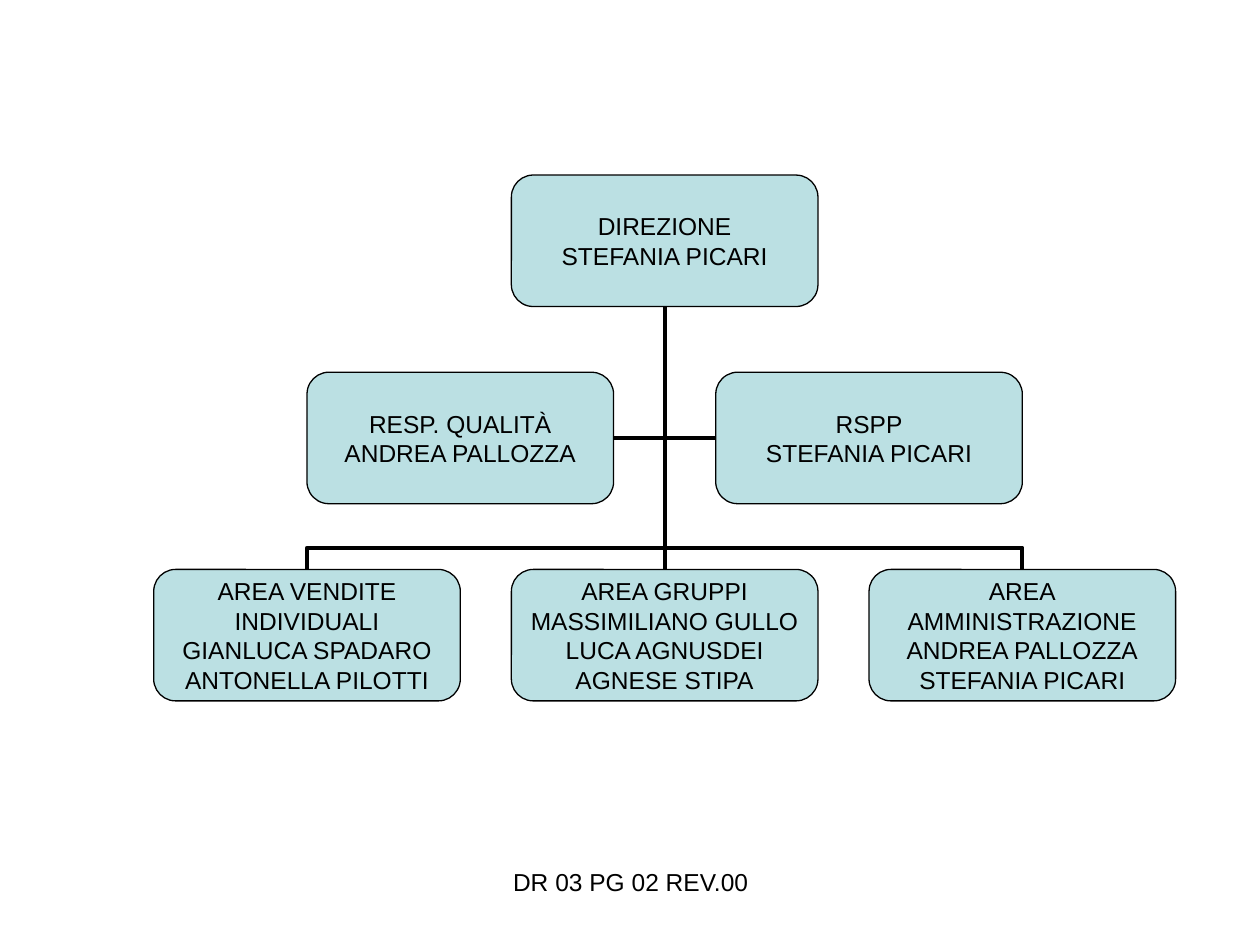
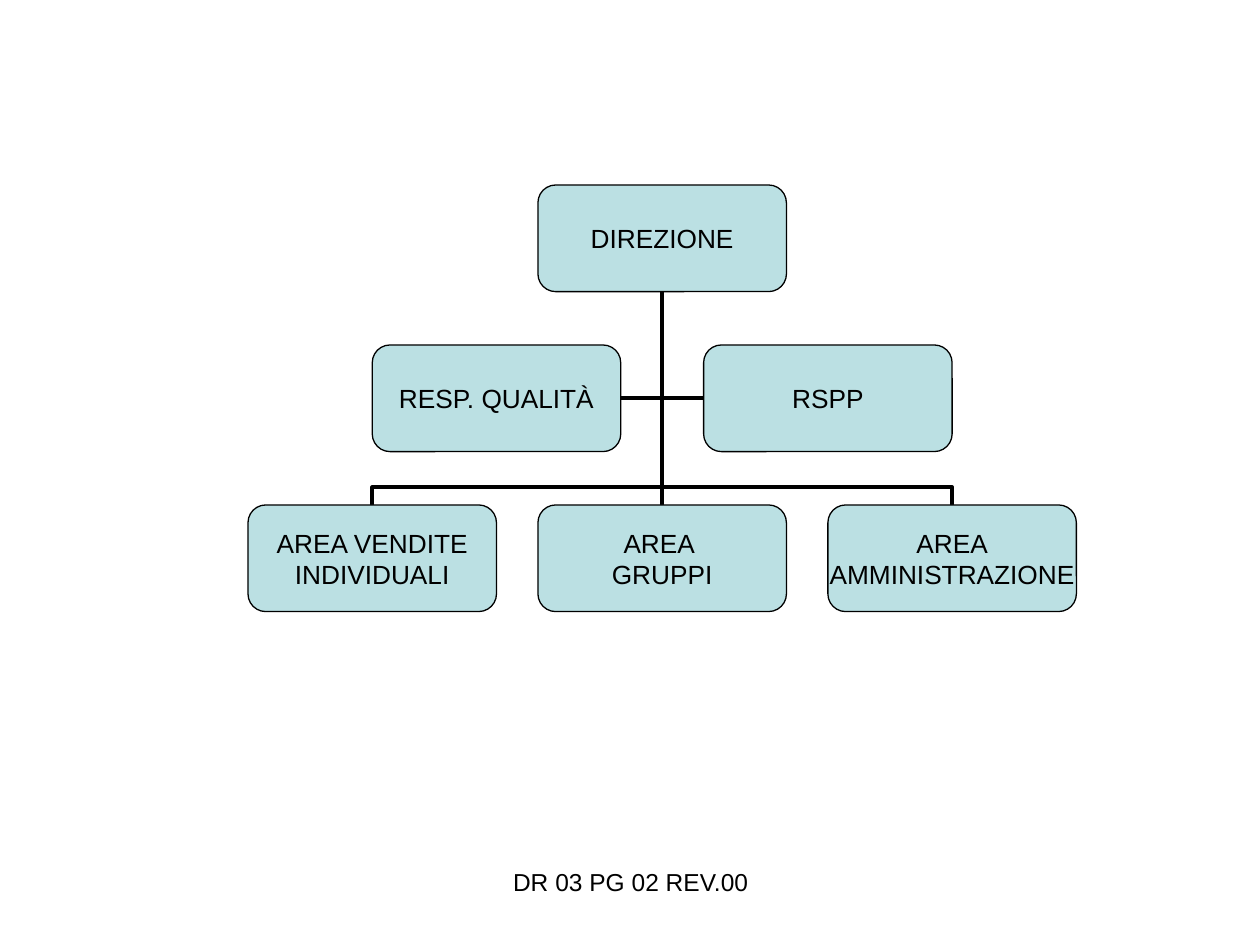
from dataclasses import dataclass

from lxml.etree import SubElement
from pptx import Presentation
from pptx.dml.color import RGBColor
from pptx.enum.shapes import MSO_CONNECTOR as Link, MSO_SHAPE as Shape
from pptx.enum.text import MSO_ANCHOR as Anchor, PP_ALIGN as Align
from pptx.oxml.ns import qn
from pptx.util import Cm, Pt

# Shared style
FONT = "Arial"
BLACK = "000000"
BOX_FILL = "BBE0E3"
FOOTER = "DR 03 PG 02 REV.00"
FOOTER_SIZE = 14
QUARTER_TURN_LEFT = 270 * 60000


@dataclass(frozen=True)
class Chart:
    """An organisation chart; lengths in centimetres, one text per box."""
    centre: float
    top: float
    width: float
    height: float
    text_size: int
    head: str
    staff: tuple[str, ...]
    areas: tuple[str, ...]

    def row_top(self, row: int) -> float:
        return self.top + row * 1.5 * self.height

    def staff_centres(self) -> list[float]:
        return [self.centre + side * self.width * 2 / 3 for side in (-1, 1)]

    def area_centres(self) -> list[float]:
        return [self.centre + column * self.width * 7 / 6 for column in (-1, 0, 1)]


CHARTS = (
    Chart(13.4, 3.53, 6.18, 2.65, 14,
          "DIREZIONE\nSTEFANIA PICARI",
          ("RESP. QUALITÀ\nANDREA PALLOZZA", "RSPP\nSTEFANIA PICARI"),
          ("AREA VENDITE\nINDIVIDUALI\nGIANLUCA SPADARO\nANTONELLA PILOTTI",
           "AREA GRUPPI\nMASSIMILIANO GULLO\nLUCA AGNUSDEI\nAGNESE STIPA",
           "AREA\nAMMINISTRAZIONE\nANDREA PALLOZZA\nSTEFANIA PICARI")),
    Chart(13.35, 3.73, 5.01, 2.15, 15,
          "DIREZIONE",
          ("RESP. QUALITÀ", "RSPP"),
          ("AREA VENDITE\nINDIVIDUALI", "AREA \nGRUPPI", "AREA\nAMMINISTRAZIONE")),
)


def colour(value: str) -> RGBColor:
    return RGBColor.from_string(value)


def write(frame, text: str, size: int) -> None:
    frame.text = text
    for para in frame.paragraphs:
        para.alignment = Align.CENTER
        for span in para.runs:
            span.font.name = FONT
            span.font.size = Pt(size)
            span.font.color.rgb = colour(BLACK)


def add_box(page, chart: Chart, centre: float, row: int, text: str) -> None:
    box = page.shapes.add_shape(
        Shape.ROUNDED_RECTANGLE, Cm(centre - chart.width / 2),
        Cm(chart.row_top(row)), Cm(chart.width), Cm(chart.height))
    box.shadow.inherit = False
    box.fill.solid()
    box.fill.fore_color.rgb = colour(BOX_FILL)
    box.line.color.rgb = colour(BLACK)
    box.line.width = Pt(0.75)
    frame = box.text_frame
    frame.margin_left = frame.margin_right = 0
    frame.margin_top = frame.margin_bottom = 0
    frame.word_wrap = False
    frame.vertical_anchor = Anchor.MIDDLE
    write(frame, text, chart.text_size)


def add_link(page, kind: Link, x1: float, y1: float, x2: float, y2: float):
    link = page.shapes.add_connector(kind, Cm(x1), Cm(y1), Cm(x2), Cm(y2))
    link.line.color.rgb = colour(BLACK)
    link.line.width = Pt(2.25)
    properties = link._element.spPr
    SubElement(properties, qn("a:effectLst"))
    return properties


def link_staff(page, x1: float, y1: float, x2: float, y2: float) -> None:
    """Go sideways, then up, with a single bend."""
    properties = add_link(page, Link.ELBOW, x1, y1, x2, y2)
    properties.find(qn("a:prstGeom")).set("prst", "bentConnector2")


def link_area(page, x1: float, y1: float, x2: float, y2: float) -> None:
    """Go up a twelfth of the rise, then sideways, then up again."""
    middle_x, middle_y = (x1 + x2) / 2, (y1 + y2) / 2
    rise, run = y1 - y2, x2 - x1
    # The elbow is laid out lying down, then turned a quarter to the left
    properties = add_link(page, Link.ELBOW, middle_x - rise / 2, middle_y - run / 2,
                          middle_x + rise / 2, middle_y + run / 2)
    properties.find(qn("a:xfrm")).set("rot", str(QUARTER_TURN_LEFT))
    guides = properties.find(qn("a:prstGeom")).find(qn("a:avLst"))
    SubElement(guides, qn("a:gd"), name="adj1", fmla=f"val {100000 // 12}")


def draw_chart(page, chart: Chart) -> None:
    head_bottom = chart.top + chart.height
    staff_middle = chart.row_top(1) + chart.height / 2
    area_top = chart.row_top(2)

    # Lines, behind the boxes
    for side, centre in zip((1, -1), chart.staff_centres()):
        inner_edge = centre + side * chart.width / 2
        link_staff(page, inner_edge, staff_middle, chart.centre, head_bottom)
    for centre in chart.area_centres():
        if centre == chart.centre:
            add_link(page, Link.STRAIGHT, centre, area_top, centre, head_bottom)
        else:
            link_area(page, centre, area_top, chart.centre, head_bottom)

    # Boxes, row by row
    add_box(page, chart, chart.centre, 0, chart.head)
    for centre, text in zip(chart.staff_centres(), chart.staff):
        add_box(page, chart, centre, 1, text)
    for centre, text in zip(chart.area_centres(), chart.areas):
        add_box(page, chart, centre, 2, text)


def add_footer(page) -> None:
    footer = page.shapes.add_textbox(Cm(8.69), Cm(17.35), Cm(8.05), Cm(1.32))
    footer.text_frame.word_wrap = True
    write(footer.text_frame, FOOTER, FOOTER_SIZE)


def main() -> None:
    deck = Presentation()
    deck.slide_width, deck.slide_height = Cm(25.4), Cm(19.05)
    blank = deck.slide_layouts[6]
    for chart in CHARTS:
        page = deck.slides.add_slide(blank)
        draw_chart(page, chart)
        add_footer(page)
    deck.save("out.pptx")


if __name__ == "__main__":
    main()
